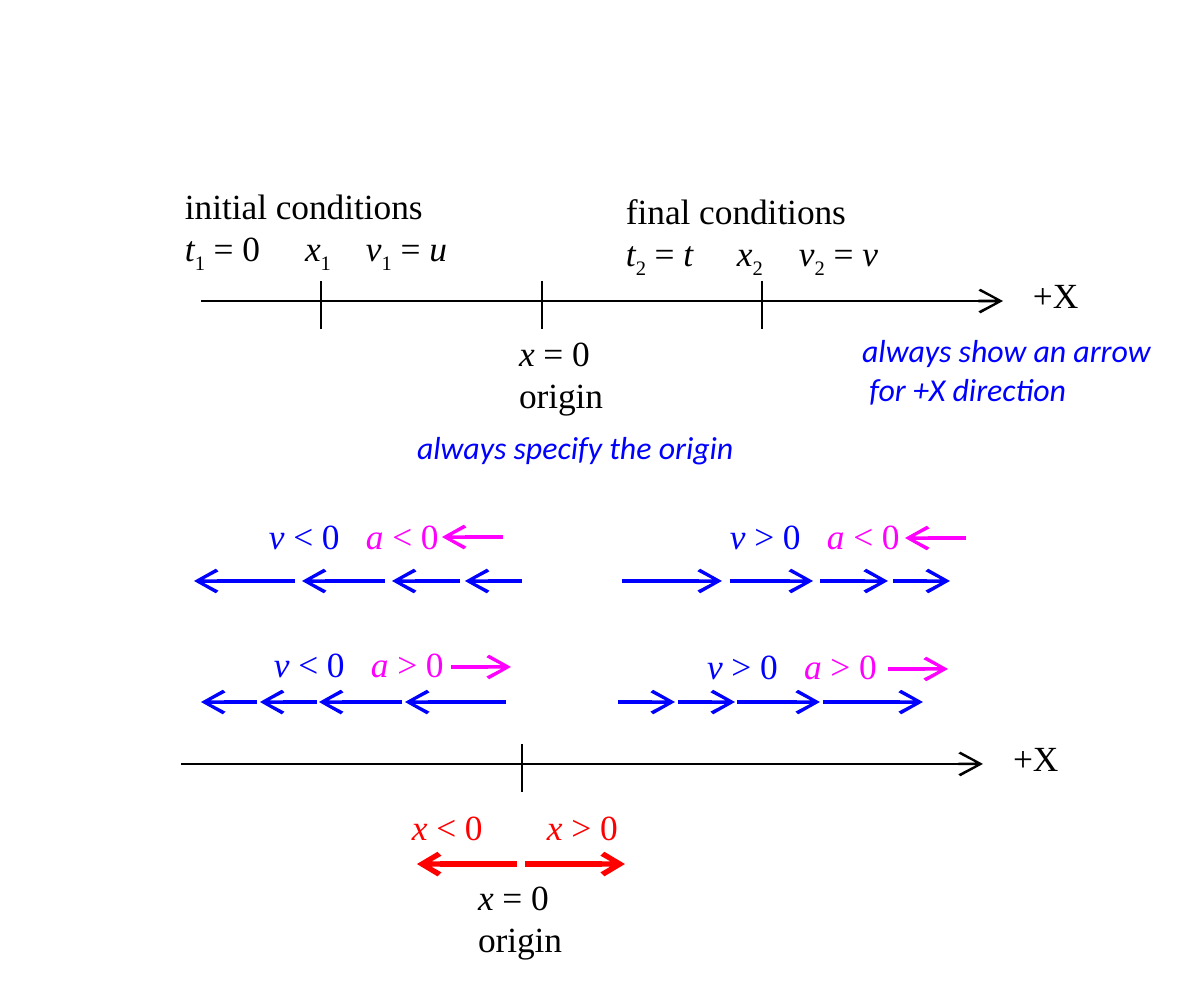
import pptx
import pptx.dml.color
import pptx.enum.shapes
import pptx.enum.text
import pptx.oxml.ns
import pptx.util
from lxml import etree

THEME = {
    "black": "000000", "blue": "0000FF", "red": "FF0000", "pink": "FF00FF",
    "math": ("Times New Roman", 10), "note": ("Calibri", 9),
    "axis": 0.75, "vector": 1, "side": 1.5,
}
WIDTH, HEIGHT, SCALE = 1204, 1003, 914400 / 254.5  # pixels, EMU per pixel
LINE_TALL = {"math": 43, "note": 38}
PAD_X, PAD_Y = 25, 13

# Axes: start x, y, tick positions, left edge of the origin label
AXES = [(201, 301, (321, 542, 762), 494), (181, 764, (522,), 453)]
AXIS_LONG, TICK_UP, TICK_DOWN = 802, 20, 28
PLUS_X = [[("+X", "")]]
ORIGIN = [[("x", "i"), (" = 0", "")], [("origin", "")]]

# Conditions: left, top, tab stops, lines of (text, style)
CONDITIONS = [
    (160, 171, (120, 181), [
        [("initial conditions", "")],
        [("t", "i"), ("1", "sub"), (" = 0\t", ""), ("x", "i"), ("1", "sub"),
         ("\t", ""), ("v", "i"), ("1", "sub"), (" = ", ""), ("u", "i")]]),
    (601, 176, (111, 173), [
        [("final conditions", "")],
        [("t", "i"), ("2", "sub"), (" = ", ""), ("t\tx", "i"), ("2", "sub"),
         ("\t", ""), ("v", "i"), ("2", "sub"), (" = ", ""), ("v", "i")]]),
]
# Notes: left, top, width, lines
NOTES = [
    (837, 318, 338, ["always show an arrow", " for +X direction"]),
    (392, 415, 379, ["always specify the origin"]),
]
# Motions: label left, top, sign of v, sign of a, acceleration arrow, velocity arrows
MOTIONS = [
    (244, 501, "<", "<", (503, 442, 537), 581,
     [(295, 194), (385, 302), (460, 392), (522, 465)]),
    (705, 501, ">", "<", (966, 905, 538), 581,
     [(622, 722), (730, 813), (820, 888), (893, 950)]),
    (249, 629, "<", ">", (451, 511, 667), 702,
     [(257, 201), (317, 260), (402, 319), (506, 405)]),
    (682, 631, ">", ">", (888, 948, 669), 702,
     [(618, 675), (678, 735), (737, 820), (823, 923)]),
]
ACCELERATION_TAB = 97
# Sides of the origin: label left, sign of x, arrow start, arrow end
SIDES = [(387, "<", 517, 417), (522, ">", 525, 625)]
SIDE_LABEL_TOP, SIDE_ARROW_Y = 792, 864


def emu(px):
    """Turn pixels into EMU."""
    return pptx.util.Emu(round(px * SCALE))


def rgb(name):
    """Look up a theme colour."""
    return pptx.dml.color.RGBColor.from_string(THEME[name])


def add_line(s, x1, y1, x2, y2, color, weight, arrow=False):
    """Draw a straight line, with an open arrowhead at its end if asked."""
    line = s.shapes.add_connector(
        pptx.enum.shapes.MSO_CONNECTOR.STRAIGHT, emu(x1), emu(y1), emu(x2), emu(y2))
    line.line.color.rgb = rgb(color)
    line.line.width = pptx.util.Pt(THEME[weight])
    if arrow:
        ln = line.line._get_or_add_ln()
        etree.SubElement(ln, pptx.oxml.ns.qn("a:tailEnd"), type="arrow")
    etree.SubElement(line._element.spPr, pptx.oxml.ns.qn("a:effectLst"))


def add_text(s, x, y, w, lines, color="black", kind="math", tabs=()):
    """Write lines of (text, style[, colour]) runs in a text box."""
    h = LINE_TALL[kind] * len(lines) + 2 * PAD_Y
    tf = s.shapes.add_textbox(emu(x), emu(y), emu(w), emu(h)).text_frame
    tf.word_wrap = True
    tf.auto_size = pptx.enum.text.MSO_AUTO_SIZE.NONE
    tf.margin_left, tf.margin_right = emu(PAD_X), 0
    tf.margin_top = tf.margin_bottom = emu(PAD_Y)
    for i, runs in enumerate(lines):
        p = tf.add_paragraph() if i else tf.paragraphs[0]
        if tabs:
            stops = etree.SubElement(p._p.get_or_add_pPr(), pptx.oxml.ns.qn("a:tabLst"))
            for tab in tabs:
                etree.SubElement(stops, pptx.oxml.ns.qn("a:tab"), pos=str(emu(tab)), algn="l")
        for text, style, *own in runs:
            r = p.add_run()
            r.text = text
            r.font.name, size = THEME[kind]
            r.font.size = pptx.util.Pt(size)
            r.font.italic = style == "i"
            r.font.color.rgb = rgb(own[0] if own else color)
            if style == "sub":
                r.font._element.set("baseline", "-25000")


def add_axis(s, x, y, ticks, origin_x):
    """Draw an X axis with its ticks and +X label."""
    add_line(s, x, y, x + AXIS_LONG, y, "black", "axis", True)
    for tick in ticks:
        add_line(s, tick, y - TICK_UP, tick, y + TICK_DOWN, "black", "axis")
    add_text(s, x + AXIS_LONG + 5, y - 41, 97, PLUS_X)


def add_motion(s, x, y, v_sign, a_sign, acceleration, row_y, arrows):
    """Draw one combination of velocity and acceleration signs."""
    runs = [("v", "i"), (f" {v_sign} 0\t", ""),
            ("a", "i", "pink"), (f" {a_sign} 0", "", "pink")]
    add_text(s, x, y, 224, [runs], "blue", tabs=(ACCELERATION_TAB,))
    start, end, arrow_y = acceleration
    add_line(s, start, arrow_y, end, arrow_y, "pink", "vector", True)
    for start, end in arrows:
        add_line(s, start, row_y, end, row_y, "blue", "vector", True)


prs = pptx.Presentation()
prs.slide_width, prs.slide_height = emu(WIDTH), emu(HEIGHT)
s = prs.slides.add_slide(prs.slide_layouts[6])

for axis in AXES:
    add_axis(s, *axis)
for (_, _, _, origin_x), top in zip(AXES, (318, 862)):
    add_text(s, origin_x, top, 137, ORIGIN)
for x, y, tabs, lines in CONDITIONS:
    add_text(s, x, y, 321, lines, tabs=tabs)
for x, y, w, lines in NOTES:
    add_text(s, x, y, w, [[(line, "i")] for line in lines], "blue", "note")
for motion in MOTIONS:
    add_motion(s, *motion)
for x, sign, start, end in SIDES:
    add_text(s, x, SIDE_LABEL_TOP, 124, [[("x", "i"), (f" {sign} 0", "")]], "red")
    add_line(s, start, SIDE_ARROW_Y, end, SIDE_ARROW_Y, "red", "side", True)

prs.save("out.pptx")
